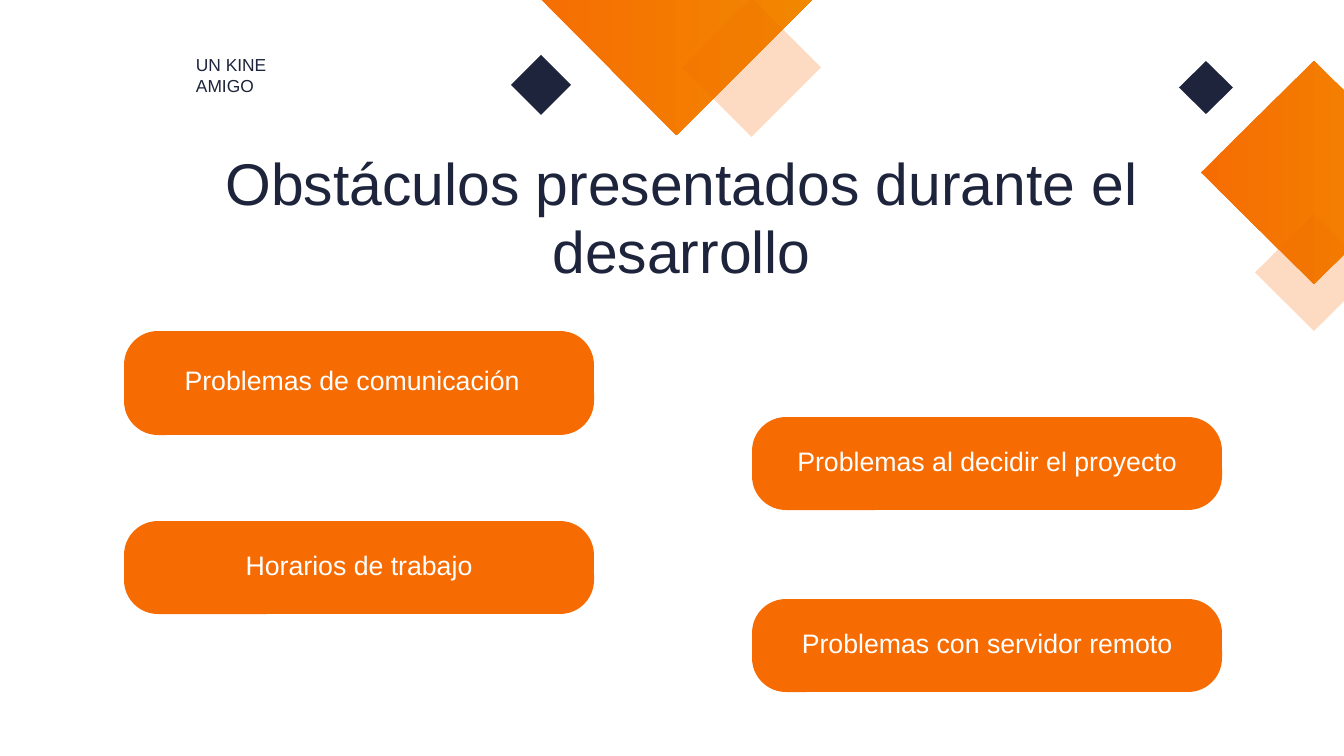
from dataclasses import dataclass

from lxml import etree
from pptx import Presentation
from pptx import util as u
from pptx.dml.color import RGBColor
from pptx.enum import shapes, text
from pptx.oxml import ns


@dataclass(frozen=True)
class Theme:
    font: str = "Arial"
    navy: str = "1D243B"
    orange: str = "F66C02"
    gradient: tuple = ("F56D02", "F18800")
    white: str = "FFFFFF"
    tint: int = 24
    title: tuple = (63, 72.5)
    label: tuple = (18.6, 22.6)
    card: tuple = (28.6, 34.7)


THEME = Theme()
WIDTH, HEIGHT = 1344, 756
PX = u.Inches(20) / WIDTH

TITLE = "Obstáculos presentados durante el desarrollo"
TITLE_BOX = (103, 150, 1157, 140)
LABEL = ["UN KINE", "AMIGO"]
LABEL_BOX = (196, 54, 136, 44)

DIAMONDS = [
    ("gradient", (525, -168, 303, 303)),
    ("gradient", (1201, 61, 226, 223)),
    ("navy", (511, 55, 60, 60)),
    ("navy", (1179, 61, 54, 53)),
    ("tint", (682, -2, 139, 139)),
    ("tint", (1255, 214, 118, 117)),
]

LEFT, RIGHT = 124, 752
CARD_WIDTH, CARD_RADIUS, CARD_LIFT = 470, 34, 6
CARDS = [
    ("Problemas de comunicación", LEFT, 331, 104, 14),
    ("Problemas al decidir el proyecto", RIGHT, 417, 93, 0),
    ("Horarios de trabajo", LEFT, 521, 93, 0),
    ("Problemas con servidor remoto", RIGHT, 599, 93, 0),
]


def emu(*lengths):
    return [u.Emu(round(n * PX)) for n in lengths]


def write(shape, lines, style, color, align=text.PP_ALIGN.CENTER,
          anchor=text.MSO_ANCHOR.TOP, insets=(0, 0, 0, 0)):
    size, spacing = style
    tf = shape.text_frame
    tf.word_wrap = True
    tf.auto_size = text.MSO_AUTO_SIZE.NONE
    tf.vertical_anchor = anchor
    tf.margin_left, tf.margin_top, tf.margin_right, tf.margin_bottom = emu(*insets)
    for i, line in enumerate(lines):
        p = tf.add_paragraph() if i else tf.paragraphs[0]
        p.alignment = align
        p.line_spacing = u.Pt(spacing)
        p.space_before = u.Pt(0)
        r = p.add_run()
        r.text = line
        r.font.name = THEME.font
        r.font.size = u.Pt(size)
        r.font.color.rgb = RGBColor.from_string(color)


def add_shape(s, kind, box, color):
    sp = s.shapes.add_shape(kind, *emu(*box))
    sp.shadow.inherit = False
    sp.line.fill.background()
    sp.fill.solid()
    sp.fill.fore_color.rgb = RGBColor.from_string(color)
    return sp


def add_diamond(s, style, box):
    color = THEME.navy if style == "navy" else THEME.orange
    sp = add_shape(s, shapes.MSO_SHAPE.DIAMOND, box, color)
    if style == "gradient":
        sp.fill.gradient()
        sp.fill.gradient_angle = 0
        for stop, position, shade in zip(sp.fill.gradient_stops, (0, 1), THEME.gradient):
            stop.position = position
            stop.color.rgb = RGBColor.from_string(shade)
    elif style == "tint":
        clr = sp.element.spPr.find(ns.qn("a:solidFill"))[0]
        etree.SubElement(clr, ns.qn("a:alpha")).set("val", str(THEME.tint * 1000))


def add_card(s, label, left, top, height, shift):
    sp = add_shape(s, shapes.MSO_SHAPE.ROUNDED_RECTANGLE,
                   (left, top, CARD_WIDTH, height), THEME.orange)
    sp.adjustments[0] = CARD_RADIUS / height
    write(sp, [label], THEME.card, THEME.white, anchor=text.MSO_ANCHOR.MIDDLE,
          insets=(0, 0, shift, CARD_LIFT))


def main():
    prs = Presentation()
    prs.slide_width, prs.slide_height = emu(WIDTH, HEIGHT)
    s = prs.slides.add_slide(prs.slide_layouts[5])
    s.background.fill.solid()
    s.background.fill.fore_color.rgb = RGBColor.from_string(THEME.white)

    title = s.shapes.title
    title.left, title.top, title.width, title.height = emu(*TITLE_BOX)
    write(title, [TITLE], THEME.title, THEME.navy)

    for style, box in DIAMONDS:
        add_diamond(s, style, box)

    write(s.shapes.add_textbox(*emu(*LABEL_BOX)), LABEL, THEME.label, THEME.navy,
          align=text.PP_ALIGN.LEFT)

    for card in CARDS:
        add_card(s, *card)

    prs.save("out.pptx")


if __name__ == "__main__":
    main()
